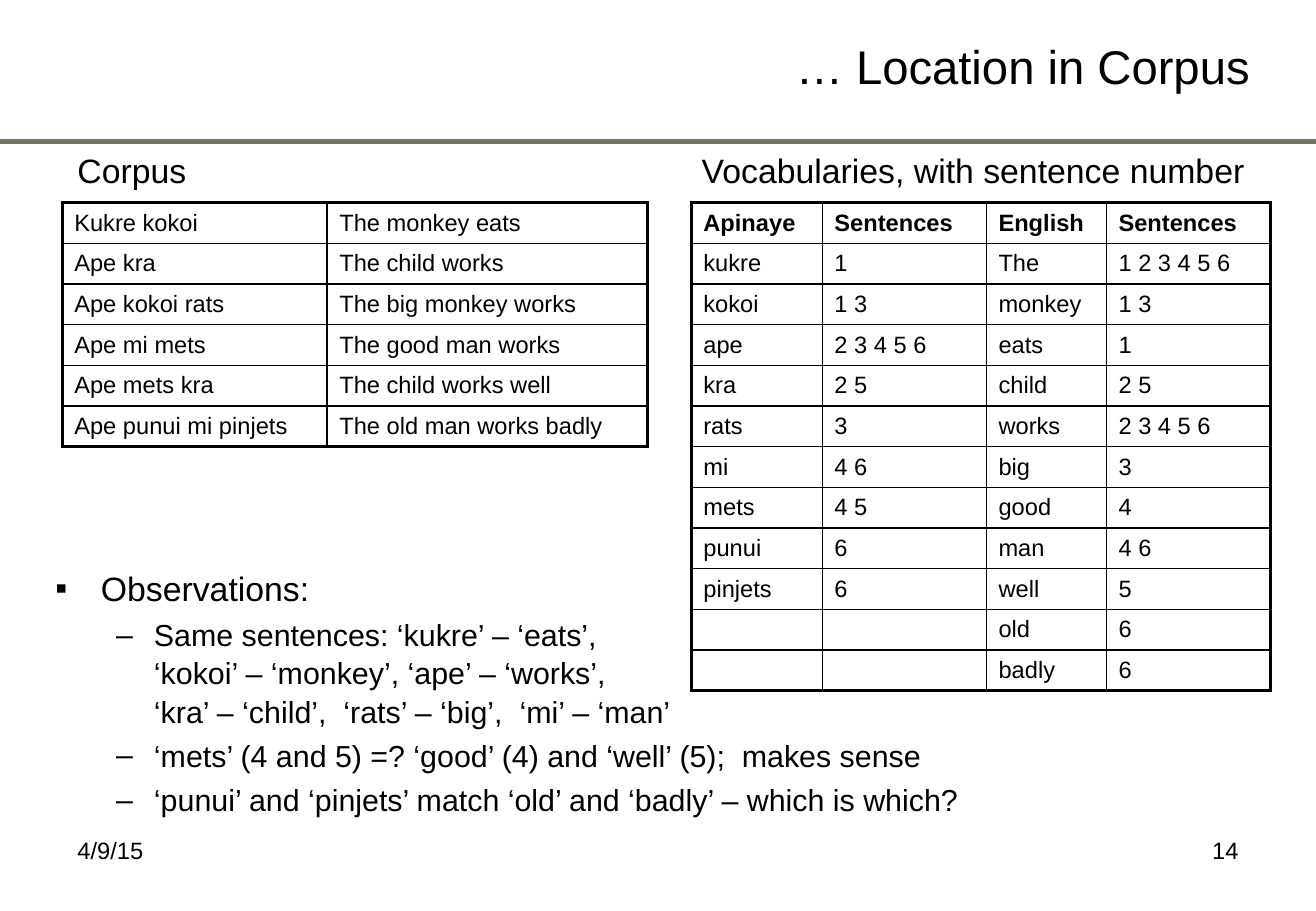
from lxml import etree
from pptx import Presentation
from pptx.dml.color import RGBColor
from pptx.enum.shapes import MSO_CONNECTOR
from pptx.enum.text import MSO_ANCHOR, PP_ALIGN
from pptx.oxml.ns import qn
from pptx.util import Cm, Pt

LEFT, RIGHT = PP_ALIGN.LEFT, PP_ALIGN.RIGHT
TOP, MIDDLE = MSO_ANCHOR.TOP, MSO_ANCHOR.MIDDLE
STRAIGHT = MSO_CONNECTOR.STRAIGHT

FONT = "Arial"
COLORS = {"text": "000000", "rule": "747462", "grid": "000000"}

TITLE = "… Location in Corpus"
HEADS = "Corpus\tVocabularies, with sentence number"
DATE, NUMBER = "4/9/15", "14"

CORPUS = [
    ("Kukre kokoi", "The monkey eats"),
    ("Ape kra", "The child works"),
    ("Ape kokoi rats", "The big monkey works"),
    ("Ape mi mets", "The good man works"),
    ("Ape mets kra", "The child works well"),
    ("Ape punui mi pinjets", "The old man works badly"),
]
VOCAB = [
    ("Apinaye", "Sentences", "English", "Sentences"),
    ("kukre", "1", "The", "1 2 3 4 5 6"),
    ("kokoi", "1 3", "monkey", "1 3"),
    ("ape", "2 3 4 5 6", "eats", "1"),
    ("kra", "2 5", "child", "2 5"),
    ("rats", "3", "works", "2 3 4 5 6"),
    ("mi", "4 6", "big", "3"),
    ("mets", "4 5", "good", "4"),
    ("punui", "6", "man", "4 6"),
    ("pinjets", "6", "well", "5"),
    ("", "", "old", "6"),
    ("", "", "badly", "6"),
]
# level, text
NOTES = [
    (0, "Observations:"),
    (1, "Same sentences: ‘kukre’ – ‘eats’,\n"
        "‘kokoi’ – ‘monkey’, ‘ape’ – ‘works’,\n"
        "‘kra’ – ‘child’,  ‘rats’ – ‘big’,  ‘mi’ – ‘man’"),
    (1, "‘mets’ (4 and 5) =? ‘good’ (4) and ‘well’ (5);  makes sense"),
    (1, "‘punui’ and ‘pinjets’ match ‘old’ and ‘badly’ – which is which?"),
]
# mark, size, left margin, hanging indent
LEVELS = [("▪", 20, Cm(0.95), Cm(0.95)), ("–", 18, Cm(2.06), Cm(0.79))]

WIDTH, HEIGHT = Cm(27.51), Cm(19.05)
RULE_Y = Cm(2.95)
TABLE_Y, ROW_H = Cm(4.24), Cm(0.85)
TAB_X = Cm(13.05)
THIN, THICK = Pt(1), Pt(2.25)


def write(para, text, size=14, bold=False, align=LEFT, before=0, spacing=1.0):
    para.text = text
    para.alignment = align
    para.line_spacing = spacing
    para.space_before = Pt(before)
    for run in para.runs:
        font = run.font
        font.name, font.size, font.bold = FONT, Pt(size), bold
        font.color.rgb = RGBColor.from_string(COLORS["text"])


def add_box(slide, x, y, w, h, anchor=TOP):
    frame = slide.shapes.add_textbox(x, y, w, h).text_frame
    frame.word_wrap = True
    frame.vertical_anchor = anchor
    return frame


def add_mark(para, mark, left, hang):
    props = para._p.get_or_add_pPr()
    props.set("marL", str(left))
    props.set("indent", str(-hang))
    etree.SubElement(props, qn("a:buFont"), typeface=FONT)
    etree.SubElement(props, qn("a:buChar"), char=mark)


def add_tab(para, x):
    tabs = etree.SubElement(para._p.get_or_add_pPr(), qn("a:tabLst"))
    etree.SubElement(tabs, qn("a:tab"), pos=str(x), algn="l")


def add_edges(cell, outer):
    """Draw the four cell borders, thick on the sides flagged in outer."""
    props = cell._tc.get_or_add_tcPr()
    for side, thick in zip("LRTB", outer):
        line = etree.SubElement(props, qn("a:ln" + side),
                                w=str(THICK if thick else THIN))
        fill = etree.SubElement(line, qn("a:solidFill"))
        etree.SubElement(fill, qn("a:srgbClr"), val=COLORS["grid"])


def add_grid(slide, rows, x, widths, header=False):
    last_r, last_c = len(rows) - 1, len(widths) - 1
    table = slide.shapes.add_table(len(rows), len(widths), x, TABLE_Y,
                                   sum(widths), ROW_H * len(rows)).table
    table.first_row = header
    table.horz_banding = False
    for col, width in zip(table.columns, widths):
        col.width = width
    for r, row in enumerate(rows):
        table.rows[r].height = ROW_H
        for c, text in enumerate(row):
            cell = table.cell(r, c)
            cell.margin_top = cell.margin_bottom = 0
            cell.vertical_anchor = MIDDLE
            add_edges(cell, (c == 0, c == last_c, r == 0, r == last_r))
            cell.fill.background()
            write(cell.text_frame.paragraphs[0], text,
                  bold=header and r == 0)


def add_rule(slide):
    rule = slide.shapes.add_connector(STRAIGHT, 0, RULE_Y, WIDTH, RULE_Y)
    rule.line.color.rgb = RGBColor.from_string(COLORS["rule"])
    rule.line.width = Pt(3)
    etree.SubElement(rule._element.spPr, qn("a:effectLst"))


def add_notes(slide):
    frame = add_box(slide, Cm(0.91), Cm(11.71), Cm(24.77), Cm(4.45))
    for i, (level, text) in enumerate(NOTES):
        para = frame.add_paragraph() if i else frame.paragraphs[0]
        mark, size, left, hang = LEVELS[level]
        para.level = level
        add_mark(para, mark, left, hang)
        write(para, text, size=size, before=size * 0.2 if i else 0,
              spacing=1.05)


def main():
    deck = Presentation()
    deck.slide_width, deck.slide_height = WIDTH, HEIGHT
    slide = deck.slides.add_slide(deck.slide_layouts[6])

    add_rule(slide)
    for text, x, align in ((DATE, Cm(1.37), LEFT), (NUMBER, Cm(19.71), RIGHT)):
        frame = add_box(slide, x, Cm(17.35), Cm(6.43), Cm(1.32))
        write(frame.paragraphs[0], text, align=align)

    title = add_box(slide, Cm(1.22), Cm(0.64), Cm(25.15), Cm(1.47), MIDDLE)
    write(title.paragraphs[0], TITLE, size=28, align=RIGHT)

    heads = add_box(slide, Cm(1.37), Cm(2.97), Cm(25.68), Cm(1.27))
    add_tab(heads.paragraphs[0], TAB_X)
    write(heads.paragraphs[0], HEADS, size=20, spacing=1.05)

    add_grid(slide, VOCAB, Cm(14.45),
             [Cm(2.74), Cm(3.43), Cm(2.51), Cm(3.43)], header=True)
    add_notes(slide)
    add_grid(slide, CORPUS, Cm(1.3), [Cm(5.54), Cm(6.7)])
    deck.save("out.pptx")


if __name__ == "__main__":
    main()
